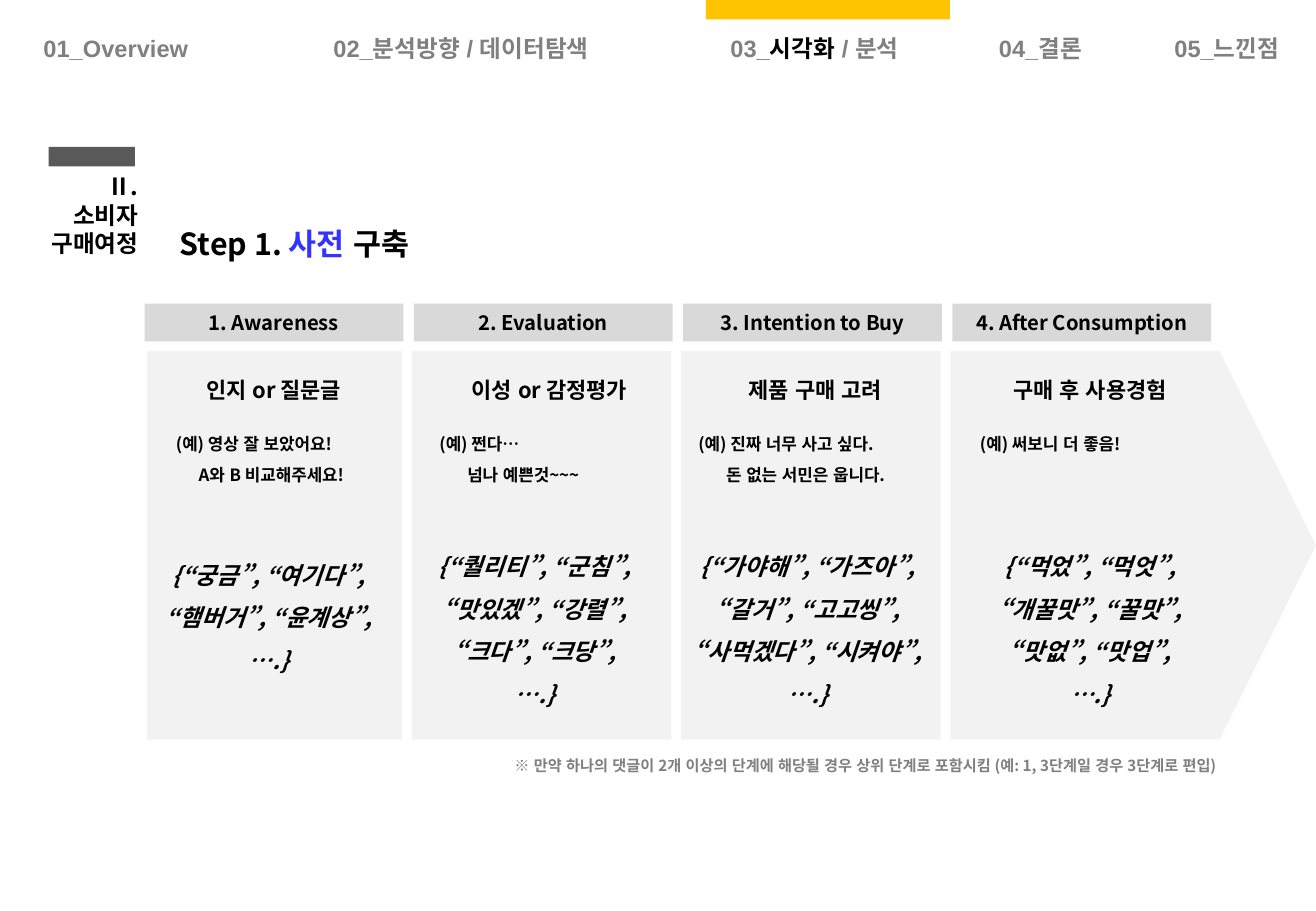
from dataclasses import dataclass

from pptx import Presentation
from pptx.dml.color import RGBColor
from pptx.enum import lang, shapes, text
from pptx.oxml import ns, xmlchemy
from pptx.util import Pt

LEFT, CENTER, RIGHT = text.PP_ALIGN.LEFT, text.PP_ALIGN.CENTER, text.PP_ALIGN.RIGHT


@dataclass(frozen=True)
class Theme:
    sans: str = "Noto Sans CJK KR"
    nav_font: str = "Arial"
    ink: str = "000000"
    muted: str = "808080"
    accent: str = "3333FF"
    tab: str = "FFC301"
    marker: str = "595959"
    header: str = "D9D9D9"
    panel: str = "F2F2F2"
    paper: str = "FFFFFF"
    title_size: float = 18
    nav_size: float = 14
    section_size: float = 14
    words_size: float = 14
    label_size: float = 13
    header_size: float = 12
    example_size: float = 10
    note_size: float = 9


@dataclass(frozen=True)
class Stage:
    header: str
    label: str
    examples: list
    words: list
    # Offsets from the column's left edge
    label_dx: float
    example_dx: float
    words_dx: float
    example_width: float = 130
    words_width: float = 152
    words_top: float = 135.4
    words_wrap: bool = False
    hanging: float = 16.5


THEME = Theme()

NAV = [  # left, width, spans
    (12.2, 113, [("01_Overview", THEME.muted)]),
    (164.2, 218.2, [("02_분석방향 / 데이터탐색", THEME.muted)]),
    (420.5, 124.6, [("03_", THEME.muted), ("시각화 ", THEME.ink), ("/ 분석", THEME.muted)]),
    (583.9, 65.5, [("04_결론", THEME.muted)]),
    (687.6, 79.2, [("05_느낀점", THEME.muted)]),
]

STAGES = [
    Stage("1. Awareness", "인지 or 질문글",
          ["(예) 영상 잘 보았어요!", "A와 B 비교해주세요!"],
          ["{“궁금”, “여기다”, “햄버거”, “윤계상”,", "….}"],
          11.5, 11.5, 0.7, words_width=146, words_top=140.4, words_wrap=True, hanging=13.5),
    Stage("2. Evaluation", "이성 or 감정평가",
          ["(예) 쩐다…", "넘나 예쁜것~~~"],
          ["{“퀄리티”, “군침”,", "“맛있겠”, “강렬”,", "“크다”, “크당”,", "….}"],
          15.3, 8.1, -1.3, words_width=146),
    Stage("3. Intention to Buy", "제품 구매 고려",
          ["(예) 진짜 너무 사고 싶다.", "돈 없는 서민은 웁니다."],
          ["{“가야해”, “가즈아”,", "“갈거”, “고고씽”,", "“사먹겠다”, “시켜야”,", "….}"],
          13.4, 1.9, -2, example_width=146),
    Stage("4. After Consumption", "구매 후 사용경험",
          ["(예) 써보니 더 좋음!"],
          ["{“먹었”, “먹엇”,", "“개꿀맛”, “꿀맛”,", "“맛없”, “맛업”,", "….}"],
          16.5, 9.3, 5.7),
]


def style_span(span, size, color, font, italic):
    span.font.name = font
    span.font.size = Pt(size)
    span.font.bold = True
    span.font.italic = italic
    span.font.color.rgb = RGBColor.from_string(color)
    # Korean glyph forms keep the quotation marks narrow
    span.font.language_id = lang.MSO_LANGUAGE_ID.KOREAN
    asian = xmlchemy.OxmlElement("a:ea")
    asian.set("typeface", THEME.sans)
    span.font._element.find(ns.qn("a:latin")).addnext(asian)


def write(frame, lines, size, align=LEFT, color=THEME.ink, font=THEME.sans,
          italic=False, spacing=None, wrap=True):
    """Each line is a string or a list of (text, color) spans."""
    frame.word_wrap = wrap
    for index, line in enumerate(lines):
        para = frame.paragraphs[0] if index == 0 else frame.add_paragraph()
        para.alignment = align
        para.line_spacing = spacing
        for words, tint in [(line, color)] if isinstance(line, str) else line:
            span = para.add_run()
            span.text = words
            style_span(span, size, tint, font, italic)


def add_text(page, left, top, width, height, lines, size, **style):
    box = page.shapes.add_textbox(Pt(left), Pt(top), Pt(width), Pt(height))
    write(box.text_frame, lines, size, **style)
    return box


def add_block(page, left, top, width, height, fill, kind=shapes.MSO_SHAPE.RECTANGLE):
    block = page.shapes.add_shape(kind, Pt(left), Pt(top), Pt(width), Pt(height))
    block.shadow.inherit = False
    block.fill.solid()
    block.fill.fore_color.rgb = RGBColor.from_string(fill)
    block.line.fill.background()
    return block


def add_navigation(page, top, height):
    for left, width, spans in NAV:
        add_text(page, left, top, width, height, [spans], THEME.nav_size,
                 align=CENTER, font=THEME.nav_font)
    add_block(page, 418.3, 0, 144.7, 11.5, THEME.tab)


def add_section(page, left, top, width):
    add_block(page, left + 27.4, top, 51.1, 11.5, THEME.marker)
    add_text(page, left, top + 11.5, width, 58.3, ["Ⅱ.", "소비자", "구매여정"],
             THEME.section_size, align=RIGHT)


def add_title(page, left, top, width, height):
    title = page.shapes.title
    title.left, title.top, title.width, title.height = map(Pt, (left, top, width, height))
    frame = title.text_frame
    frame.auto_size = text.MSO_AUTO_SIZE.NONE
    frame.vertical_anchor = text.MSO_ANCHOR.TOP
    write(frame, [[("Step 1. ", THEME.ink), ("사전", THEME.accent), (" 구축", THEME.ink)]],
          THEME.title_size)


def add_stage(page, stage, left, top, width):
    header = add_block(page, left, top, width, 22.3, THEME.header)
    header.text_frame.vertical_anchor = text.MSO_ANCHOR.MIDDLE
    write(header.text_frame, [stage.header], THEME.header_size, align=CENTER)
    add_text(page, left + stage.label_dx, top + 39.6, 130, 23, [stage.label],
             THEME.label_size, align=CENTER)
    examples = add_text(page, left + stage.example_dx, top + 67.7, stage.example_width, 41,
                        stage.examples, THEME.example_size, spacing=1.5)
    for para in examples.text_frame.paragraphs[1:]:
        para._p.get_or_add_pPr().set("marL", str(Pt(stage.hanging)))
    add_text(page, left + stage.words_dx, top + stage.words_top, stage.words_width, 108.7,
             stage.words, THEME.words_size, align=CENTER, italic=True, spacing=1.5,
             wrap=stage.words_wrap)


def add_journey(page, left, top, width):
    column, pitch = 153.4, 159.6
    # Arrow panel, cut into columns by paper-coloured gaps
    arrow = add_block(page, left + 1.4, top + 28.1, width - 1.4, 230.4, THEME.panel,
                      shapes.MSO_SHAPE.PENTAGON)
    arrow.adjustments[0] = 0.248
    for index in range(1, len(STAGES)):
        add_block(page, left + index * pitch - 7, top - 11.5, 5.8, 309.6, THEME.paper)
    for index, stage in enumerate(STAGES):
        add_stage(page, stage, left + index * pitch, top, column)
    # Footnote
    add_text(page, left + 90.7, top + 259.2, 551.5, 21.6,
             ["※ 만약 하나의 댓글이 2개 이상의 단계에 해당될 경우 상위 단계로 포함시킴 "
              "(예: 1, 3단계일 경우 3단계로 편입)"],
             THEME.note_size, align=RIGHT, color=THEME.muted, spacing=1.5)


def main():
    deck = Presentation()
    deck.slide_width, deck.slide_height = Pt(780), Pt(540)
    page = deck.slides.add_slide(deck.slide_layouts[5])
    add_navigation(page, 16.6, 24.5)
    add_section(page, 1.4, 87.1, 87.8)
    add_title(page, 99.4, 129.6, 290.9, 28.8)
    add_journey(page, 85.7, 180, 694.3)
    deck.save("out.pptx")


if __name__ == "__main__":
    main()
